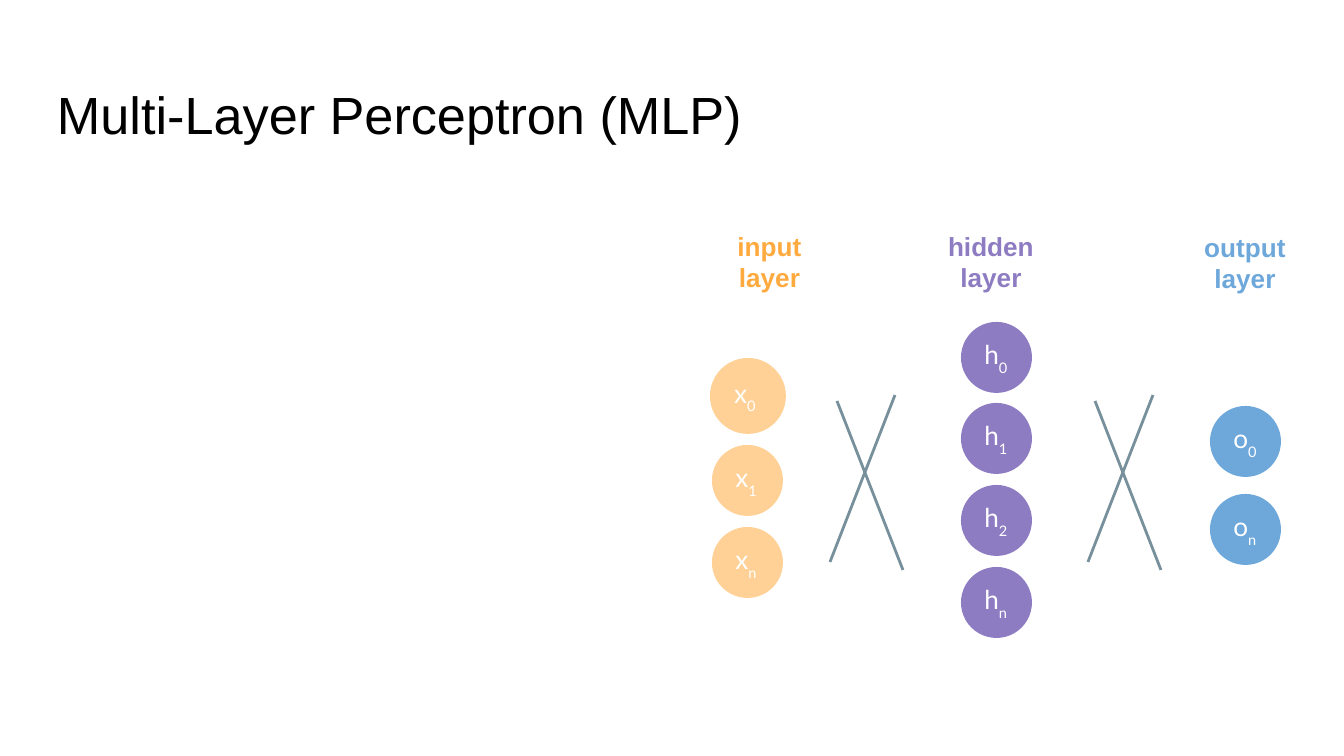
"""Build a slide that shows the layers of a multi-layer perceptron."""
from lxml.etree import SubElement
from pptx import Presentation
from pptx.dml.color import RGBColor
from pptx.enum.shapes import MSO_CONNECTOR as LINK, MSO_SHAPE as SHAPE
from pptx.enum.text import MSO_ANCHOR as ANCHOR, MSO_AUTO_SIZE as FIT, PP_ALIGN as ALIGN
from pptx.oxml.ns import qn
from pptx.util import Emu, Pt

BLACK = RGBColor(0x00, 0x00, 0x00)
WHITE = RGBColor(0xFF, 0xFF, 0xFF)
ORANGE = RGBColor(0xFF, 0xAA, 0x3F)
PURPLE = RGBColor(0x8E, 0x7C, 0xC3)
BLUE = RGBColor(0x6E, 0xA8, 0xDB)
GREY = RGBColor(0x77, 0x90, 0x9C)
SIZE = 71


def px(count):
    return Emu(round(count * 914400 / 134.4))


def set_frame(frame, left, top, anchor):
    frame.word_wrap = True
    frame.auto_size = FIT.NONE
    frame.vertical_anchor = anchor
    frame.margin_left, frame.margin_top = px(left), px(top)
    frame.margin_right = frame.margin_bottom = 0


def set_font(para, name, size, color, align, bold=False):
    para.alignment = align
    font = para.font
    font.name, font.size, font.bold = name, Pt(size), bold
    font.color.rgb = color


def add_title(slide, text):
    title = slide.shapes.title
    title.left, title.top, title.width, title.height = map(px, (57, 74, 1063, 66))
    set_frame(title.text_frame, 0, 8, ANCHOR.TOP)
    para = title.text_frame.paragraphs[0]
    para.text = text
    set_font(para, "Arial", 28, BLACK, ALIGN.LEFT)


def add_head(slide, text, left, top, width, color):
    frame = slide.shapes.add_textbox(*map(px, (left, top, width, 66))).text_frame
    set_frame(frame, 0, 4, ANCHOR.TOP)
    para = frame.paragraphs[0]
    para.text = text
    para.line_spacing = Pt(16.5)
    set_font(para, "Arial", 14, color, ALIGN.CENTER, True)


def add_node(slide, left, top, size, color, name, index, alpha=100):
    node = slide.shapes.add_shape(SHAPE.OVAL, *map(px, (left, top, size, size)))
    node.shadow.inherit = False
    node.line.fill.background()
    node.fill.solid()
    node.fill.fore_color.rgb = color
    if alpha < 100:
        tone = node.fill._xPr.find(".//" + qn("a:srgbClr"))
        SubElement(tone, qn("a:alpha")).set("val", str(alpha * 1000))
    set_frame(node.text_frame, 13, 0, ANCHOR.MIDDLE)
    para = node.text_frame.paragraphs[0]
    set_font(para, "Lato", 14, WHITE, ALIGN.LEFT)
    para.add_run().text = name
    sub = para.add_run()
    sub.text = index
    sub.font.size = Pt(13.5)
    sub.font._element.set("baseline", "-33000")


def add_line(slide, *ends):
    line = slide.shapes.add_connector(LINK.STRAIGHT, *map(px, ends))
    line.line.color.rgb = GREY
    line.line.width = Pt(1.5)
    SubElement(line._element.spPr, qn("a:effectLst"))


def add_cross(slide, left):
    add_line(slide, left, 562, left + 65, 395)
    add_line(slide, left + 73, 570, left + 7, 401)


def main():
    deck = Presentation()
    deck.slide_width, deck.slide_height = px(1344), px(756)
    slide = deck.slides.add_slide(deck.slide_layouts[5])
    add_title(slide, "Multi-Layer Perceptron (MLP)")

    add_head(slide, "input layer", 736, 227, 67, ORANGE)
    add_head(slide, "hidden layer", 947, 227, 88, PURPLE)
    add_head(slide, "output layer", 1203, 228, 84, BLUE)

    add_node(slide, 710, 358, 76, ORANGE, "x", "0", 54)
    for row, index in enumerate("1n"):
        add_node(slide, 712, 445 + 82 * row, SIZE, ORANGE, "x", index, 54)
    for row, index in enumerate("012n"):
        add_node(slide, 961, 322 + 245 * row // 3, SIZE, PURPLE, "h", index)
    for row, index in enumerate("0n"):
        add_node(slide, 1210, 406 + 88 * row, SIZE, BLUE, "o", index)

    for left in (830, 1088):
        add_cross(slide, left)
    deck.save("out.pptx")


if __name__ == "__main__":
    main()
